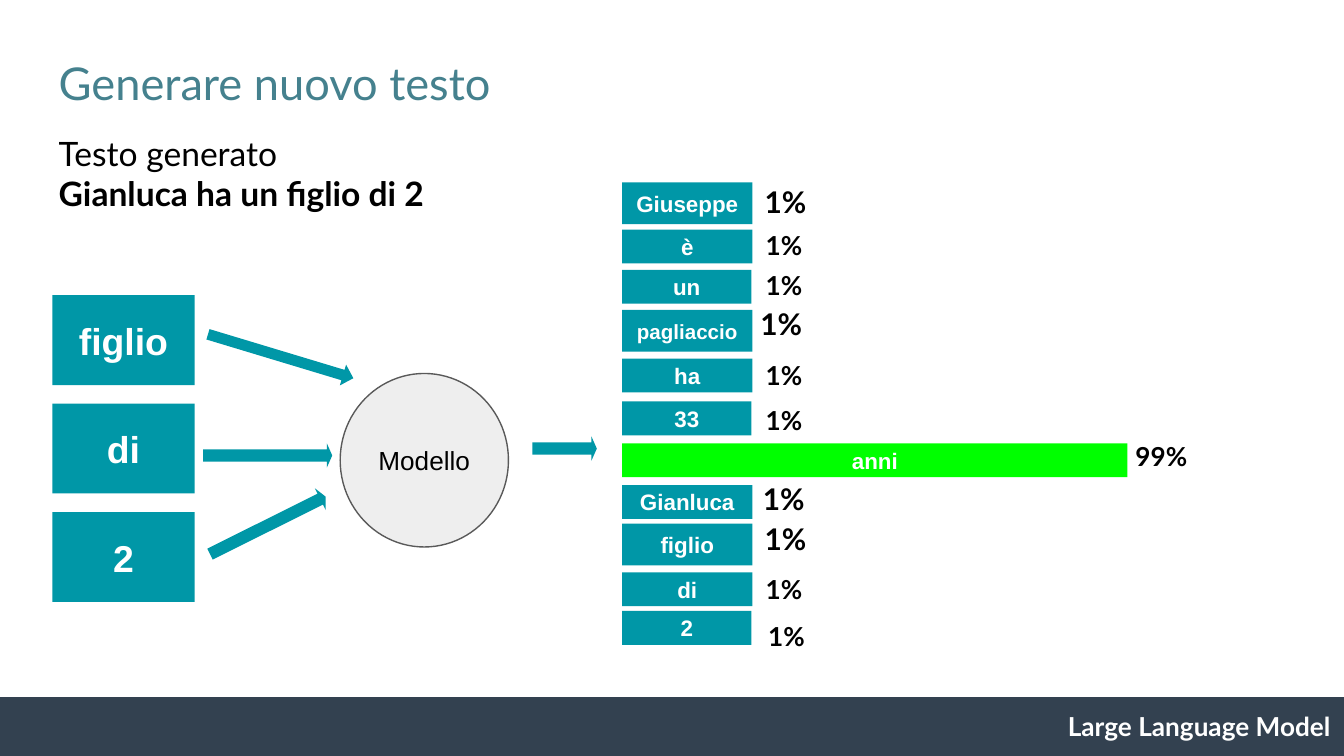
from pptx import Presentation
from pptx.dml.color import RGBColor
from pptx.enum.shapes import MSO_SHAPE
from pptx.enum.text import MSO_ANCHOR, PP_ALIGN
from pptx.util import Cm, Pt

RECT, OVAL, ARROW = MSO_SHAPE.RECTANGLE, MSO_SHAPE.OVAL, MSO_SHAPE.RIGHT_ARROW
LEFT, MID, RIGHT = PP_ALIGN.LEFT, PP_ALIGN.CENTER, PP_ALIGN.RIGHT
TOP, CENTER = MSO_ANCHOR.TOP, MSO_ANCHOR.MIDDLE
COLORS = {"title": "45818E", "teal": "0097A7", "green": "00FF00", "bar": "334150",
          "gray": "EEEEEE", "edge": "595959", "black": "000000", "white": "FFFFFF"}

# Word, row top, row height, bar width, then label left, top, size and text
ROWS = [
    ("Giuseppe", 0, 0.79, 2.46, 2.44, -0.23, 16, "1%"),
    ("è", 0.89, 0.64, 2.46, 2.46, 0.64, 14, "1%"),
    ("un", 1.65, 0.64, 2.44, 2.46, 1.4, 14, "1%"),
    ("pagliaccio", 2.41, 0.79, 2.46, 2.36, 2.08, 16, "1%"),
    ("ha", 3.33, 0.64, 2.46, 2.46, 3.1, 14, "1%"),
    ("33", 4.14, 0.64, 2.44, 2.46, 3.94, 14, "1%"),
    ("anni", 4.93, 0.64, 9.55, 9.45, 4.62, 14, "99%"),
    ("Gianluca", 5.72, 0.64, 2.46, 2.41, 5.38, 16, "1%"),
    ("figlio", 6.45, 0.79, 2.46, 2.44, 6.15, 16, "1%"),
    ("di", 7.37, 0.64, 2.46, 2.46, 7.14, 14, "1%"),
    ("2", 8.1, 0.64, 2.44, 2.51, 8.03, 14, "1%"),
]


def rgb(name):
    return RGBColor.from_string(COLORS[name])


def write(shape, *lines, size=14, font="Lato", color="black", bold=False,
          align=LEFT, anchor=TOP):
    """Fill a shape with lines, each a string or a (string, bold) pair."""
    frame = shape.text_frame
    frame.word_wrap = True
    frame.vertical_anchor = anchor
    frame.margin_left = frame.margin_right = Cm(0.25)
    frame.margin_top = frame.margin_bottom = Cm(0.25)
    for i, line in enumerate(lines):
        text, heavy = line if isinstance(line, tuple) else (line, bold)
        para = frame.add_paragraph() if i else frame.paragraphs[0]
        para.alignment = align
        run = para.add_run()
        run.text = text
        run.font.name, run.font.size, run.font.bold = font, Pt(size), heavy
        run.font.color.rgb = rgb(color)


def label(slide, box, *lines, **style):
    write(slide.shapes.add_textbox(*map(Cm, box)), *lines, **style)


def block(slide, kind, box, fill, edge=None):
    shape = slide.shapes.add_shape(kind, *map(Cm, box))
    shape.shadow.inherit = False
    shape.fill.solid()
    shape.fill.fore_color.rgb = rgb(fill)
    if edge:
        shape.line.color.rgb = rgb(edge)
        shape.line.width = Pt(0.75)
    else:
        shape.line.fill.background()
    return shape


def tile(slide, box, text, size, fill="teal"):
    write(block(slide, RECT, box, fill), text, size=size, font="Arial",
          color="white", bold=True, align=MID, anchor=CENTER)


def header(slide, box):
    x, y, w, h = box
    label(slide, (x, y, w, 1.6), "Generare nuovo testo", size=24.2, color="title")
    label(slide, (x, y + 1.47, w, h - 1.47), "Testo generato",
          ("Gianluca ha un figlio di 2", True), size=18)


def footer(slide, box):
    x, y, w, h = box
    block(slide, RECT, box, "bar")
    label(slide, (x + w - 10.8, y, 10.8, h), "Large Language Model",
          color="white", bold=True, align=RIGHT)


def inputs(slide, box):
    x, y, w, h = box
    tall = 1.7
    step = (h - tall) / 2
    for i, word in enumerate(("figlio", "di", "2")):
        tile(slide, (x, y + i * step, w, tall), word, 20)


def model(slide, box):
    x, y, w, h = box
    disc = block(slide, OVAL, box, "gray", "edge")
    write(disc, "Modello", font="Arial", align=MID, anchor=CENTER)
    # Arrows in and out: left, top, width, height, turn, head
    for dx, dy, aw, ah, turn, head in (
            (-2.56, -0.53, 2.87, 0.41, 16.8, 0.5),
            (-2.59, 2.64, 2.44, 0.46, 333.5, 0.24),
            (-2.59, 1.32, 2.44, 0.46, 0, 0.22),
            (w + 0.45, 1.19, 1.22, 0.46, 0, 0.22)):
        arrow = block(slide, ARROW, (x + dx, y + dy, aw, ah), "teal")
        arrow.adjustments[0], arrow.adjustments[1] = 0.5, head
        arrow.rotation = turn


def output(slide, box):
    x, y = box[:2]
    for word, top, tall, wide, dx, dy, size, share in ROWS:
        tile(slide, (x, y + top, wide, tall), word,
             11 if word == "pagliaccio" else 12,
             "green" if word == "anni" else "teal")
        label(slide, (x + dx, y + dy, 2.44, 1.4 if size == 16 else 0.79),
              share, size=size, bold=True)


def main():
    deck = Presentation()
    deck.slide_width, deck.slide_height = Cm(25.4), Cm(14.29)
    slide = deck.slides.add_slide(deck.slide_layouts[6])
    header(slide, (0.86, 0.79, 23.67, 2.87))
    footer(slide, (-0.05, 13.18, 25.45, 1.11))
    inputs(slide, (0.99, 5.58, 2.69, 5.8))
    model(slide, (6.43, 7.06, 3.18, 3.28))
    output(slide, (11.76, 3.45, 11.89, 8.74))
    deck.save("out.pptx")


if __name__ == "__main__":
    main()
